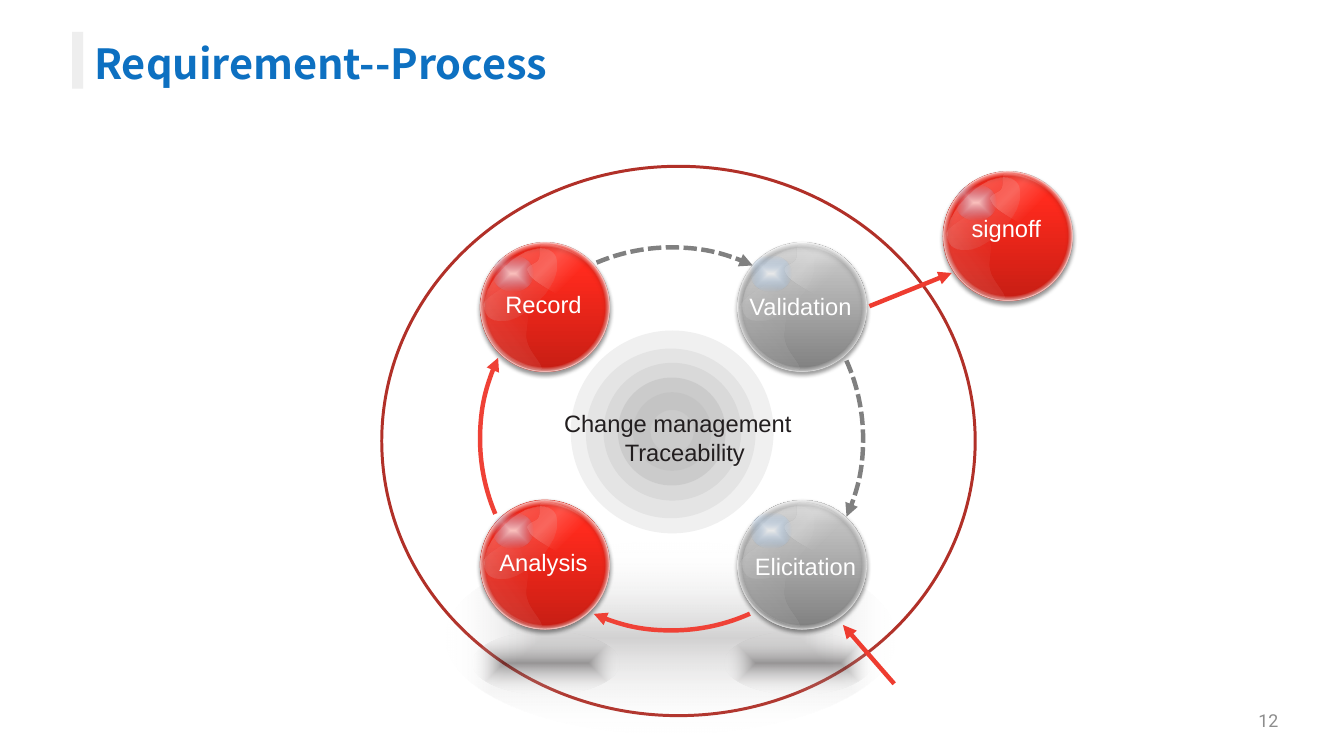
from math import cos, radians, sin
from lxml.etree import Element, SubElement
from pptx import Presentation
from pptx.dml.color import RGBColor
from pptx.enum.dml import MSO_LINE
from pptx.enum.shapes import MSO_CONNECTOR, MSO_SHAPE as Preset
from pptx.enum.text import MSO_ANCHOR as Anchor, MSO_AUTO_SIZE, PP_ALIGN as Align
from pptx.oxml.ns import qn
from pptx.util import Cm, Pt

COLORS = {
    "title": "0D70C1", "bar": "EEEEEE", "boundary": "B13028", "page": "8D8D8D", "ink": "221E1F",
    "white": "FFFFFF", "black": "000000", "flow": "EF4136", "edge": "EE3C30", "core": "CBCBCB",
    "red_low": "C71E14", "red_mid": "FF2A1D", "red_top": "FF2C1E", "gray_low": "808080", "gray_mid": "BFBFBF",
    "gray_top": "D9D9D9", "sheen": "B6B6B6", "glint": "67ABF5", "ring1": "F0F0F0", "ring2": "E4E4E4",
}
CENTER = (50, 50, 50, 50)
BALL = 3.07
RIM = [(0, "white", 0), (65, "white", 0), (74, "white", 100)]
RIGHT_STREAK = [
    (1.63, 0.13), (1.45, 0.13), (1.57, 0.36), (1.5, 0.48), (1.45, 0.61), (1.12, 0.61), (1.27, 0.81), (1.35, 1.07),
    (2.34, 1.42), (2.41, 1.73), (2.51, 2.06), (2.44, 2.06), (2.54, 2.03), (2.64, 1.98), (3, 1.78), (3, 1.52),
    (3, 1.27), (2.77, 0.71), (2.54, 0.48), (2.31, 0.25), (1.8, 0.1), (1.63, 0.13),
]
LEFT_STREAK = [
    (0.99, 0.84), (0.91, 0.86), (0.61, 1.02), (0.46, 1.14), (0.3, 1.24), (0.15, 1.35), (0.1, 1.5), (0.05, 1.65),
    (0.1, 1.88), (0.15, 2.06), (0.23, 2.21), (0.33, 2.39), (0.48, 2.51), (0.61, 2.67), (0.84, 2.79), (1.02, 2.87),
    (1.17, 2.95), (1.47, 3.05), (1.5, 2.97), (1.52, 2.87), (1.22, 2.57), (1.17, 2.36), (1.09, 2.16), (1.19, 1.96),
    (1.17, 1.73), (1.14, 1.52), (0.99, 1.17), (0.97, 1.04), (0.94, 0.89), (1.09, 0.81), (0.99, 0.84),
]


def write(paragraph, text, size=16, font="Arial", color="ink", bold=False, align=Align.LEFT):
    """Put formatted text in a paragraph."""
    paragraph.alignment = align
    run = paragraph.add_run()
    run.text = text
    run.font.size, run.font.name, run.font.bold = Pt(size), font, bold
    run.font.color.rgb = RGBColor.from_string(COLORS[color])


def add_color(parent, color, alpha):
    """Add a colour with an opacity in percent."""
    SubElement(SubElement(parent, qn("a:srgbClr"), val=COLORS[color]), qn("a:alpha"), val=str(alpha * 1000))


def set_solid(fill, parent, color, alpha):
    """Fill with one colour, see-through below 100 percent."""
    fill.solid()
    fill.fore_color.rgb = RGBColor.from_string(COLORS[color])
    if alpha < 100:
        SubElement(parent.find(".//" + qn("a:srgbClr")), qn("a:alpha"), val=str(alpha * 1000))


def set_gradient(shape, stops, angle=0, focus=None, kind="shape"):
    """Fill with a linear gradient, or a radial one when focus is given."""
    shape.fill.background()
    gradient = Element(qn("a:gradFill"), rotWithShape="1")
    stop_list = SubElement(gradient, qn("a:gsLst"))
    for position, color, alpha in stops:
        add_color(SubElement(stop_list, qn("a:gs"), pos=str(position * 1000)), color, alpha)
    if focus:
        edges = {side: str(value * 1000) for side, value in zip("ltrb", focus)}
        SubElement(SubElement(gradient, qn("a:path"), path=kind), qn("a:fillToRect"), **edges)
    else:
        SubElement(gradient, qn("a:lin"), ang=str(angle * 60000), scaled="0")
    properties = shape.element.spPr
    properties.replace(properties.find(qn("a:noFill")), gradient)


def set_line(shape, color, width, alpha=100, dashed=False, arrow=False):
    """Format an outline or a line."""
    shape.line.width = Pt(width)
    outline = shape.element.spPr.find(qn("a:ln"))
    set_solid(shape.line.fill, outline, color, alpha)
    if dashed:
        shape.line.dash_style = MSO_LINE.SQUARE_DOT
    if arrow:
        SubElement(outline, qn("a:tailEnd"), type="triangle")


class ProcessSlide:
    """Draws the elements of the requirement process slide."""

    def __init__(self, deck):
        self.slide = deck.slides.add_slide(deck.slide_layouts[5])
        self.shapes = self.slide.shapes

    def title(self, text):
        heading = self.slide.shapes.title
        heading.left, heading.top, heading.width, heading.height = map(Cm, (1.99, 0.77, 25.04, 1.24))
        heading.text_frame.auto_size = MSO_AUTO_SIZE.NONE
        heading.text_frame.vertical_anchor = Anchor.TOP
        write(heading.text_frame.paragraphs[0], text, 28, "Noto Sans CJK SC", "title", bold=True)

    def text(self, box, *lines, anchor=Anchor.TOP):
        frame = self.shapes.add_textbox(*map(Cm, box)).text_frame
        frame.word_wrap, frame.vertical_anchor = True, anchor
        for index, (line, style) in enumerate(lines):
            write(frame.add_paragraph() if index else frame.paragraphs[0], line, **style)

    def shape(self, box, fill=None, alpha=100, preset=Preset.OVAL, rotation=0, shadow=False, **gradient):
        form = self.shapes.add_shape(preset, *map(Cm, box))
        form.rotation, form.shadow.inherit = rotation, False
        form.line.fill.background()
        if gradient:
            set_gradient(form, **gradient)
        elif fill:
            set_solid(form.fill, form.element.spPr, fill, alpha)
        else:
            form.fill.background()
        if shadow:
            cast = SubElement(form.element.spPr.find(qn("a:effectLst")), qn("a:outerShdw"), blurRad=str(Pt(3.1)),
                              dist=str(Pt(1.8)), dir="5400000", rotWithShape="0")
            add_color(cast, "black", 35)
        return form

    def streak(self, x, y, curve, pivot, rotation, **gradient):
        (px, py), turn = pivot, radians(-rotation)
        points = [(Cm(x + px + (u - px) * cos(turn) - (v - py) * sin(turn)),
                   Cm(y + py + (u - px) * sin(turn) + (v - py) * cos(turn))) for u, v in curve]
        builder = self.shapes.build_freeform(*points[0], scale=1.0)
        builder.add_line_segments(points[3::3], close=True)
        reflection = builder.convert_to_shape()
        for index, segment in enumerate(list(reflection.element.iter(qn("a:lnTo")))):
            bend = Element(qn("a:cubicBezTo"))
            for u, v in points[3 * index + 1:3 * index + 4]:
                SubElement(bend, qn("a:pt"), x=str(u - reflection.left), y=str(v - reflection.top))
            segment.getparent().replace(segment, bend)
        reflection.rotation, reflection.shadow.inherit = rotation, False
        reflection.line.fill.background()
        set_gradient(reflection, **gradient)

    def ball(self, label, x, y, shade, label_x, label_y):
        self.shapes = self.slide.shapes.add_group_shape().shapes
        shades = [(0, shade + "_low", 100), (80, shade + "_mid", 100), (100, shade + "_top", 100)]
        base = self.shape((x, y, BALL, BALL), shadow=True, stops=shades, angle=270)
        if shade == "red":
            set_line(base, "edge", 0.75)
        rim = self.shape((x, y, BALL, BALL), shadow=True, stops=RIM, focus=CENTER, kind="circle")
        set_line(rim, "white", 0.75, alpha=25)
        self.shape((x - 0.11, y + 0.43, 2.13, 1.14), rotation=315, angle=90,
                   stops=[(0, "white", 33), (100, "sheen", 0)])
        self.shape((x + 0.3, y + 0.3, 0.97, 0.86), stops=[(0, "white", 65), (100, "glint", 0)], focus=CENTER)
        self.streak(x, y, RIGHT_STREAK, (2.04, 1.1), 90, focus=(100, 100, 0, 0), kind="circle",
                    stops=[(50, "white", 0), (74, "white", 19), (100, "white", 0)])
        self.streak(x, y, LEFT_STREAK, (0.83, 1.88), 97.3, angle=45,
                    stops=[(0, "white", 0), (28, "white", 0), (74, "white", 11)])
        self.shape((x + 1.14, y + 1.65, 2.13, 1.14), rotation=135, angle=90,
                   stops=[(0, "white", 33), (20, "sheen", 0)])
        self.text((x + label_x - 1.6, y + label_y - 0.47, 3.2, 0.94),
                  (label, dict(color="white", align=Align.CENTER)))
        self.shapes = self.slide.shapes

    def arc(self, rotation, color, dashed):
        bow = self.shape((11.43, 5.89, 9.12, 9.12), preset=Preset.ARC, rotation=rotation)
        bow.adjustments[0], bow.adjustments[1] = 165.525, 194.401
        set_line(bow, color, 3, dashed=dashed, arrow=True)

    def arrow(self, *ends):
        link = self.shapes.add_connector(MSO_CONNECTOR.STRAIGHT, *map(Cm, ends))
        set_line(link, "edge", 3, arrow=True)
        SubElement(link.element.spPr, qn("a:effectLst"))


def main():
    """Build the slide and save it."""
    deck = Presentation()
    deck.slide_width, deck.slide_height = Cm(32), Cm(18)
    process = ProcessSlide(deck)
    process.shape((1.72, 0.76, 0.26, 1.35), "bar", preset=Preset.RECTANGLE)
    set_line(process.shape((9.09, 3.96, 14.13, 13.08)), "boundary", 2)
    process.text((23.22, 16.67, 7.47, 0.97), ("12", dict(size=12, font="Roboto", color="page", align=Align.RIGHT)),
                 anchor=Anchor.MIDDLE)
    process.title("Requirement--Process")
    process.shape((10.62, 12.9, 10.69, 4.57), focus=CENTER, stops=[(0, "ink", 20), (100, "white", 0)])
    for left, top, size, color, alpha in [(13.59, 7.87, 4.83, "ring1", 100), (13.95, 8.3, 4.04, "ring2", 100),
                                          (14.37, 8.64, 3.28, "gray_top", 100), (14.71, 8.99, 2.57, "gray_mid", 50)]:
        process.shape((left, top, size, size), color, alpha)
    for stage in [("Validation", 17.57, 5.78, "gray", 1.49, 1.51), ("Elicitation", 17.57, 11.91, "gray", 1.61, 1.58),
                  ("Analysis", 11.44, 11.91, "red", 1.5, 1.48), ("Record", 11.44, 5.78, "red", 1.5, 1.46),
                  ("signoff", 22.46, 4.09, "red", 1.5, 1.34)]:
        process.ball(*stage)
    set_line(process.shape((15.28, 9.55, 1.45, 1.45), "core", 50), "gray_mid", 12, alpha=50)
    process.text((13.18, 9.62, 6.25, 1.63), ("Change management", {}), ("Traceability", dict(align=Align.CENTER)))
    for turn, color, dashed in [(150, "flow", False), (241.1, "flow", False),
                                (60, "gray_low", True), (331.1, "gray_low", True)]:
        process.arc(turn, color, dashed)
    for left in (11.25, 17.25):
        process.shape((left, 15.04, 3.51, 1.5), focus=CENTER, stops=[(0, "ink", 40), (100, "white", 0)])
    process.arrow(20.7, 7.29, 22.66, 6.5)
    process.arrow(21.29, 16.28, 20.07, 14.88)
    deck.save("out.pptx")


if __name__ == "__main__":
    main()
